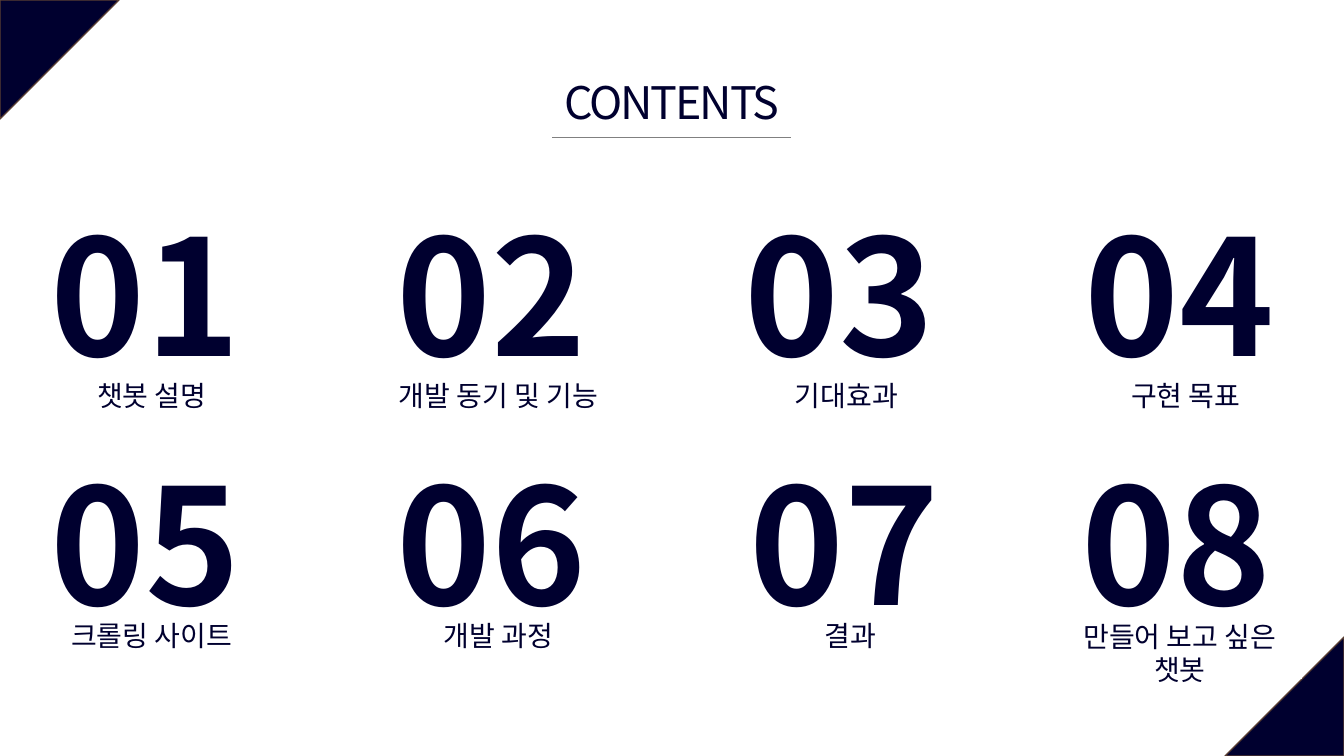
"""Builds the contents slide of a chatbot project deck."""
from lxml import etree
from pptx import Presentation
from pptx.dml.color import RGBColor
from pptx.enum.shapes import MSO_CONNECTOR, MSO_SHAPE
from pptx.enum.text import MSO_ANCHOR, MSO_AUTO_SIZE, PP_ALIGN
from pptx.oxml.ns import qn
from pptx.util import Pt

TITLE = "CONTENTS"
# number, left, width, label lines, label shift, label width, label drop, has plate
ROWS = [
    (136.1, 264.2, [
        ("01", 28.8, 158.4, ["챗봇 설명"], 0, 173.5, 0, True),
        ("02", 276.5, 158.4, ["개발 동기 및 기능"], 0, 189.4, 0, True),
        ("03", 524.9, 158.4, ["기대효과"], 0, 173.5, 0, True),
        ("04", 767.5, 158.4, ["구현 목표"], 0, 173.5, 0, True),
    ]),
    (313.9, 435.6, [
        ("05", 28.8, 155.5, ["크롤링 사이트"], 0, 173.5, 0, False),
        ("06", 276.5, 155.5, ["개발 과정"], 0, 173.5, 0, False),
        ("07", 528.5, 158.4, ["결과"], -0.7, 173.5, 0, True),
        ("08", 765.4, 155.5, ["만들어 보고 싶은", "챗봇"], -2.2, 173.5, 12.2, True),
    ]),
]

FONT = "Noto Sans CJK KR"
NAVY = RGBColor(0x00, 0x00, 0x2F)
BROWN = RGBColor(0x5B, 0x3F, 0x33)
WHITE = RGBColor(0xFF, 0xFF, 0xFF)
GRAY = RGBColor(0x80, 0x80, 0x80)
LEFT, CENTER = PP_ALIGN.LEFT, PP_ALIGN.CENTER
TOP, MIDDLE = MSO_ANCHOR.TOP, MSO_ANCHOR.MIDDLE
FIT, FIXED = MSO_AUTO_SIZE.SHAPE_TO_FIT_TEXT, MSO_AUTO_SIZE.NONE
RECTANGLE, TRIANGLE = MSO_SHAPE.RECTANGLE, MSO_SHAPE.ISOSCELES_TRIANGLE
STRAIGHT = MSO_CONNECTOR.STRAIGHT

SLIDE_W, SLIDE_H = 960, 540
CORNER = 85
NUMBER_H, LABEL_H = 146.9, 36.7
LABEL_CENTER = 79.6
TITLE_LEFT, TITLE_W, RULE_Y = 394.6, 170.6, 97.9


def write(holder, lines, size, bold=False, align=CENTER, anchor=TOP, wrap=False, spacing=None):
    frame = holder.text_frame
    frame.word_wrap = wrap
    frame.auto_size = FIXED if wrap else FIT
    frame.vertical_anchor = anchor
    for index, line in enumerate(lines):
        paragraph = frame.add_paragraph() if index else frame.paragraphs[0]
        paragraph.alignment = align
        run = paragraph.add_run()
        run.text = line
        run.font.size = Pt(size)
        run.font.bold = bold
        run.font.color.rgb = NAVY
        run.font.name = FONT
        properties = run.font._element
        etree.SubElement(properties, qn("a:ea"), typeface=FONT)
        if spacing is not None:
            properties.set("spc", str(int(spacing * 100)))


def add_box(slide, left, top, width, height):
    return slide.shapes.add_textbox(Pt(left), Pt(top), Pt(width), Pt(height))


def add_filled(slide, kind, left, top, width, height, fill, line):
    shape = slide.shapes.add_shape(kind, Pt(left), Pt(top), Pt(width), Pt(height))
    shape.shadow.inherit = False
    shape.fill.solid()
    shape.fill.fore_color.rgb = fill
    shape.line.color.rgb = line
    shape.line.width = Pt(1)
    return shape


def add_plate(slide, *place):
    plate = add_filled(slide, RECTANGLE, *place, WHITE, WHITE)
    color = plate._element.spPr.find(qn("a:solidFill")).find(qn("a:srgbClr"))
    etree.SubElement(color, qn("a:alpha"), val="80000")
    return plate


def add_corners(slide):
    for left, top, turn in [(0, 0, 90), (SLIDE_W - CORNER, SLIDE_H - CORNER, 270)]:
        corner = add_filled(slide, TRIANGLE, left, top, CORNER, CORNER, NAVY, BROWN)
        corner.adjustments[0] = 0
        corner.rotation = turn


def add_title(slide):
    title = add_box(slide, TITLE_LEFT, 49.7, TITLE_W, 46.1)
    write(title, [TITLE], 32, spacing=-1.5)
    rule = slide.shapes.add_connector(
        STRAIGHT, Pt(TITLE_LEFT), Pt(RULE_Y), Pt(TITLE_LEFT + TITLE_W), Pt(RULE_Y))
    rule.line.color.rgb = GRAY
    rule.line.width = Pt(0.5)
    etree.SubElement(rule._element.spPr, qn("a:effectLst"))


def add_entries(slide):
    for number_top, label_top, entries in ROWS:
        for number, left, width, lines, shift, label_w, drop, has_plate in entries:
            number_box = add_box(slide, left, number_top, width, NUMBER_H)
            write(number_box, [number], 115, bold=True, align=LEFT)
            label_left = left + LABEL_CENTER + shift - label_w / 2
            add_label = add_plate if has_plate else add_box
            label = add_label(slide, label_left, label_top + drop, label_w, LABEL_H)
            write(label, lines, 20, anchor=MIDDLE, wrap=True)


def main():
    deck = Presentation()
    deck.slide_width, deck.slide_height = Pt(SLIDE_W), Pt(SLIDE_H)
    slide = deck.slides.add_slide(deck.slide_layouts[6])
    add_corners(slide)
    add_entries(slide)
    add_title(slide)
    deck.save("out.pptx")


if __name__ == "__main__":
    main()
